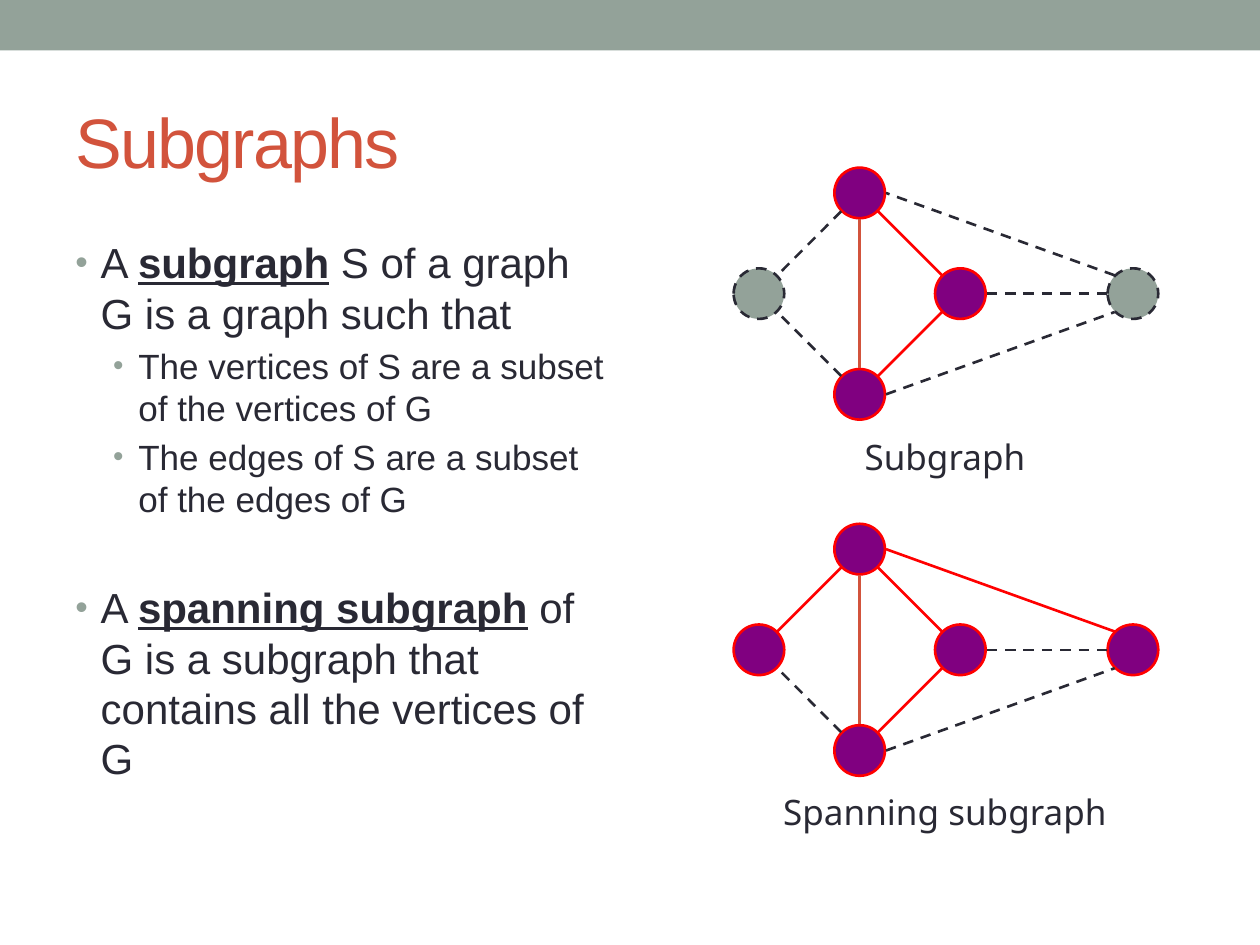
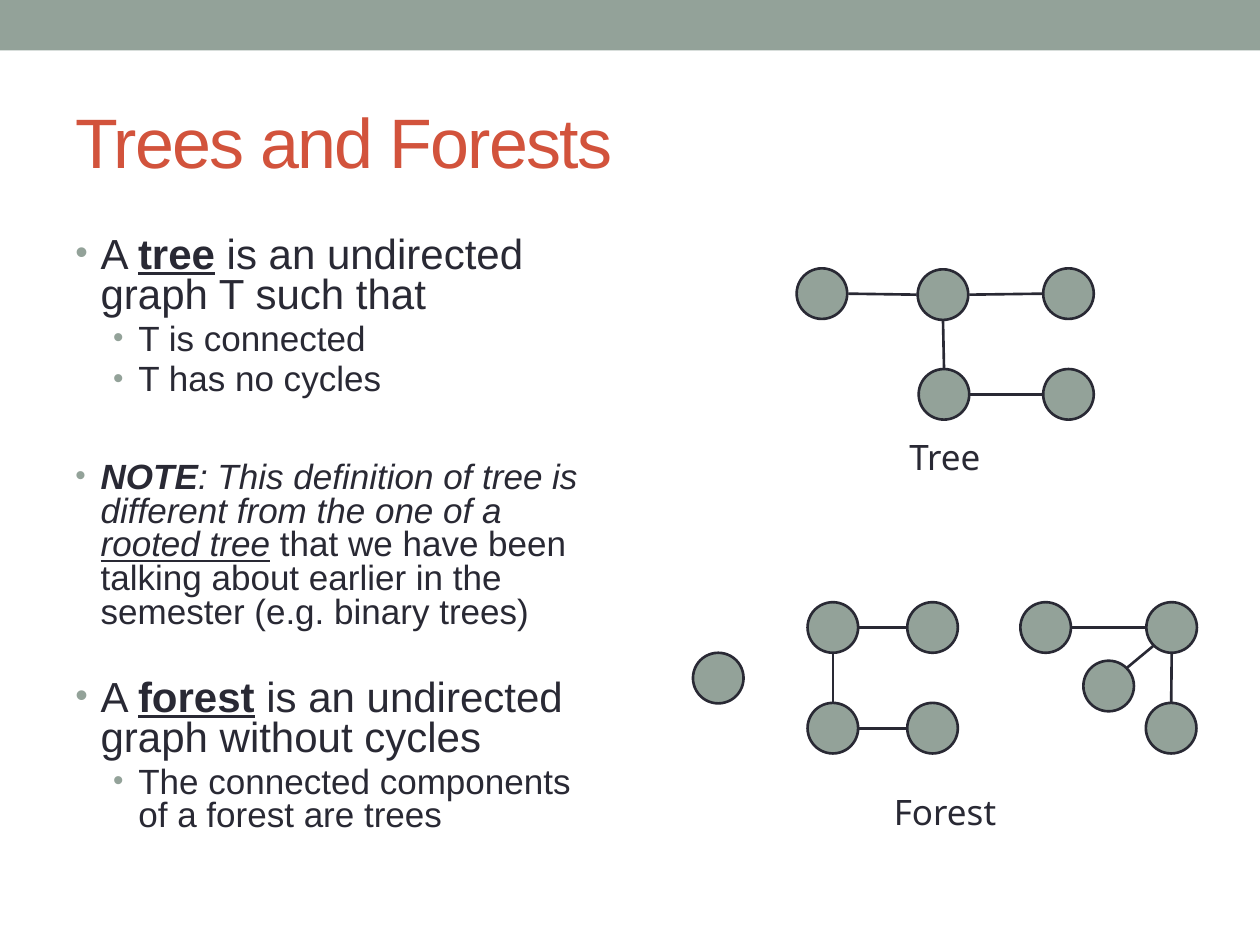
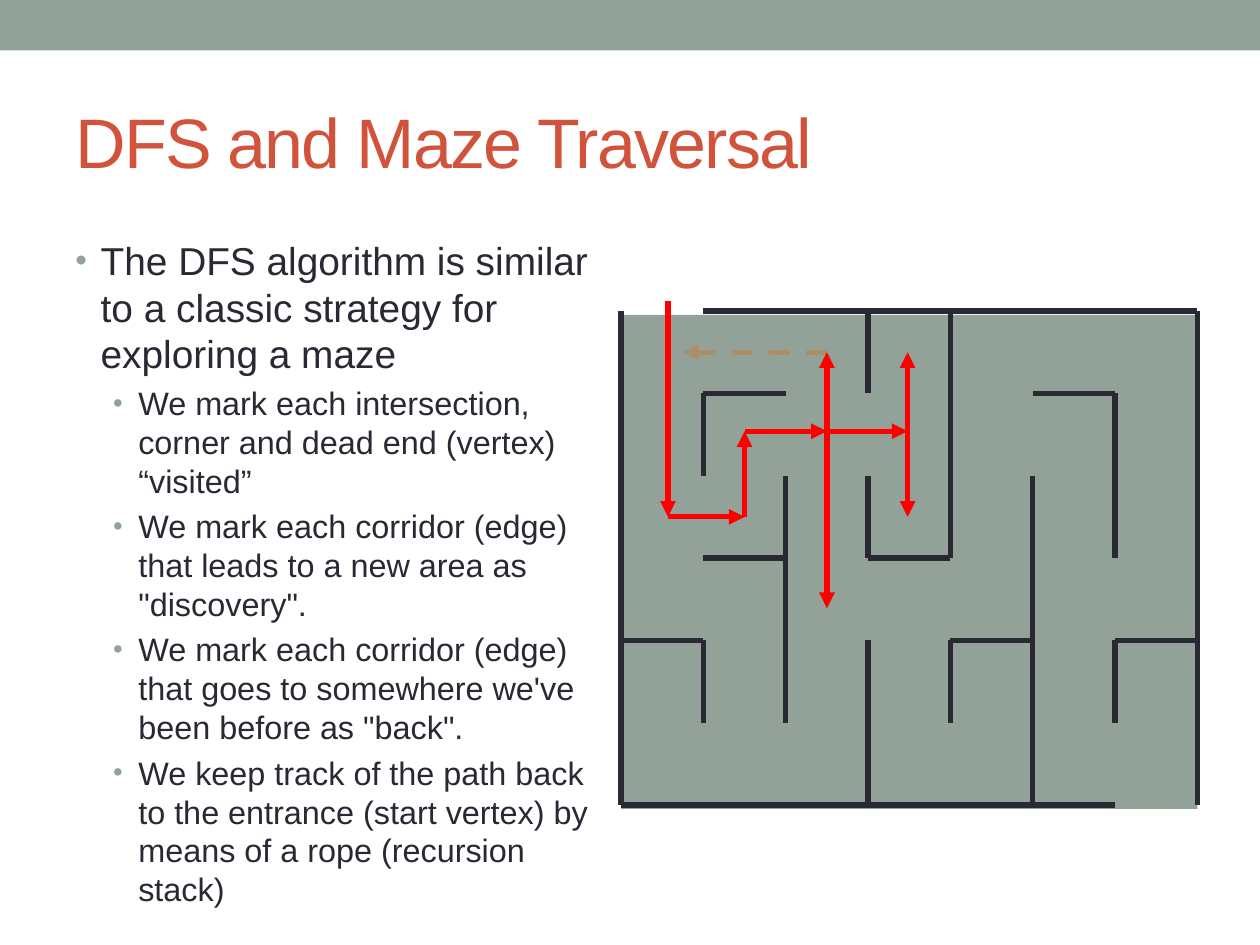
from dataclasses import dataclass
from typing import NamedTuple

from lxml.etree import SubElement
from pptx import Presentation
from pptx.dml.color import RGBColor
from pptx.enum.dml import MSO_LINE_DASH_STYLE as Dash
from pptx.enum.shapes import MSO_CONNECTOR as Link, MSO_SHAPE as Preset
from pptx.enum.text import MSO_ANCHOR as Anchor, PP_ALIGN as Align
from pptx.oxml.ns import qn
from pptx.util import Cm, Pt

COLORS = {
    "sage": "93A299",
    "ink": "292934",
    "rust": "D2533C",
    "purple": "800080",
    "red": "FF0000",
    "tan": "AD8F67",
}
BODY_FONT, CAPTION_FONT = "Arial", "Noto Sans"
SLIDE_WIDTH, SLIDE_HEIGHT = 25.4, 19.05
RADIUS = 0.51
REACH, DIAGONAL = 0.53, 0.37
SITES = {
    "n": (0, -REACH), "s": (0, REACH), "e": (REACH, 0), "w": (-REACH, 0),
    "ne": (DIAGONAL, -DIAGONAL), "nw": (-DIAGONAL, -DIAGONAL),
    "se": (DIAGONAL, DIAGONAL), "sw": (-DIAGONAL, DIAGONAL),
}
CELL = 1.66
MAZE_LEFT, MAZE_TOP = 12.52, 6.27
MAZE_COLUMNS, MAZE_ROWS = 7, 6


class Stroke(NamedTuple):
    color: str
    width: float = 1.5
    dashed: bool = False
    arrow: bool = False


class NodeStyle(NamedTuple):
    fill: str
    stroke: Stroke


class Node(NamedTuple):
    x: float
    y: float
    style: NodeStyle


class Edge(NamedTuple):
    start: str
    start_site: str
    end: str
    end_site: str
    stroke: Stroke


class Span(NamedTuple):
    text: str
    bold: bool = False
    italic: bool = False
    underline: bool = False


@dataclass
class Bullet:
    spans: list[Span]
    size: float
    level: int = 0
    gap: float = 0


PLAIN = Stroke("ink")
DASHED = Stroke("ink", dashed=True)
CHOSEN = Stroke("red")
SPINE = Stroke("rust")
WALL = Stroke("ink", 3)
DISCOVERY = Stroke("red", 3, arrow=True)
BACK = Stroke("tan", 3, dashed=True, arrow=True)
NODE = NodeStyle("sage", PLAIN)
OUTSIDE = NodeStyle("sage", DASHED)
INSIDE = NodeStyle("purple", CHOSEN)


def rgb(name: str) -> RGBColor:
    return RGBColor.from_string(COLORS[name])


def apply(target, values: dict) -> None:
    for name, value in values.items():
        setattr(target, name, value)


def style_line(line, stroke: Stroke) -> None:
    line.color.rgb = rgb(stroke.color)
    line.width = Pt(stroke.width)
    if stroke.dashed:
        line.dash_style = Dash.DASH


def add_solid(page, preset, left: float, top: float, width: float, height: float, fill: str):
    shape = page.shapes.add_shape(preset, Cm(left), Cm(top), Cm(width), Cm(height))
    shape.shadow.inherit = False
    shape.fill.solid()
    shape.fill.fore_color.rgb = rgb(fill)
    shape.line.fill.background()
    return shape


def add_line(page, x1: float, y1: float, x2: float, y2: float, stroke: Stroke) -> None:
    line = page.shapes.add_connector(Link.STRAIGHT, Cm(x1), Cm(y1), Cm(x2), Cm(y2))
    style_line(line.line, stroke)
    properties = line._element.spPr
    if stroke.arrow:
        SubElement(properties.find(qn("a:ln")), qn("a:tailEnd"), type="triangle")
    SubElement(properties, qn("a:effectLst"))


def add_frame(page, left: float, top: float, width: float, height: float):
    frame = page.shapes.add_textbox(Cm(left), Cm(top), Cm(width), Cm(height)).text_frame
    frame.word_wrap = True
    return frame


def add_span(para, span: Span, size: float, color: str = "ink", font: str = BODY_FONT):
    run = para.add_run()
    run.text = span.text
    apply(run.font, {"name": font, "size": Pt(size), "bold": span.bold,
                     "italic": span.italic, "underline": span.underline})
    run.font.color.rgb = rgb(color)
    return run


def add_page(deck, title: str):
    page = deck.slides.add_slide(deck.slide_layouts[6])
    add_solid(page, Preset.RECTANGLE, 0, 0, SLIDE_WIDTH, 1.02, "sage")
    frame = add_frame(page, 1.27, 1.47, 22.86, 2.74)
    frame.vertical_anchor = Anchor.MIDDLE
    run = add_span(frame.paragraphs[0], Span(title), 40, "rust")
    run.font._element.set("spc", "-100")
    return page


def add_body(page, bullets: list[Bullet], line_spacing: float | None = None) -> None:
    frame = add_frame(page, 1.27, 4.65, 11.23, 13.11)
    for index, bullet in enumerate(bullets):
        para = frame.add_paragraph() if index else frame.paragraphs[0]
        apply(para, {"level": bullet.level, "line_spacing": line_spacing,
                     "space_before": Pt(bullet.gap or round(bullet.size * 0.2, 1))})
        properties = para._p.get_or_add_pPr()
        properties.set("marL", str(Cm(1.27 if bullet.level else 0.51)))
        properties.set("indent", str(Cm(-0.51)))
        color = SubElement(properties, qn("a:buClr"))
        SubElement(color, qn("a:srgbClr"), val=COLORS["sage"])
        SubElement(properties, qn("a:buSzPct"), val="85000")
        SubElement(properties, qn("a:buFont"), typeface=BODY_FONT)
        SubElement(properties, qn("a:buChar"), char="•")
        for span in bullet.spans:
            add_span(para, span, bullet.size)


def add_caption(page, text: str, top: float, width: float) -> None:
    para = add_frame(page, 19.05 - width / 2, top, width, 1.09).paragraphs[0]
    para.alignment = Align.CENTER
    add_span(para, Span(text), 20, font=CAPTION_FONT)


def add_captions(page, upper: str, lower: str) -> None:
    add_caption(page, upper, 8.66, 7.92)
    add_caption(page, lower, 15.82, 10.13)


def add_graph(page, nodes: dict[str, Node], edges: list[Edge]) -> None:
    for node in nodes.values():
        circle = add_solid(page, Preset.OVAL, node.x - RADIUS, node.y - RADIUS,
                           2 * RADIUS, 2 * RADIUS, node.style.fill)
        style_line(circle.line, node.style.stroke)
    for edge in edges:
        start, end = nodes[edge.start], nodes[edge.end]
        dx1, dy1 = SITES[edge.start_site]
        dx2, dy2 = SITES[edge.end_site]
        add_line(page, start.x + dx1, start.y + dy1, end.x + dx2, end.y + dy2, edge.stroke)


def add_kite(page, middle: float, outer: NodeStyle, upper_edge: Stroke) -> None:
    step = 2.03
    nodes = {
        "inner": Node(19.36, middle, INSIDE),
        "left": Node(15.3, middle, outer),
        "top": Node(17.33, middle - step, INSIDE),
        "bottom": Node(17.33, middle + step, INSIDE),
        "right": Node(22.84, middle, outer),
    }
    add_graph(page, nodes, [
        Edge("top", "sw", "left", "ne", upper_edge),
        Edge("bottom", "nw", "left", "se", DASHED),
        Edge("bottom", "ne", "inner", "sw", CHOSEN),
        Edge("top", "se", "inner", "nw", CHOSEN),
        Edge("top", "s", "bottom", "n", SPINE),
        Edge("inner", "e", "right", "w", DASHED),
        Edge("bottom", "e", "right", "sw", DASHED),
        Edge("right", "nw", "top", "e", upper_edge),
    ])


def add_maze_line(page, x1: float, y1: float, x2: float, y2: float, stroke: Stroke) -> None:
    add_line(page, MAZE_LEFT + x1 * CELL, MAZE_TOP + y1 * CELL,
             MAZE_LEFT + x2 * CELL, MAZE_TOP + y2 * CELL, stroke)


def term(text: str) -> Span:
    return Span(text, bold=True, underline=True)


def build_subgraphs(deck) -> None:
    page = add_page(deck, "Subgraphs")
    add_body(page, [
        Bullet([Span("A "), term("subgraph"), Span(" S of a graph G is a graph such that")], 24),
        Bullet([Span("The vertices of S are a subset of the vertices of G")], 20, 1),
        Bullet([Span("The edges of S are a subset of the edges of G")], 20, 1),
        Bullet([Span("A "), term("spanning subgraph"),
                Span(" of G is a subgraph that contains all the vertices of G")], 24, gap=35.5),
    ])
    add_captions(page, "Subgraph", "Spanning subgraph")
    add_kite(page, 5.92, OUTSIDE, DASHED)
    add_kite(page, 13.1, INSIDE, CHOSEN)


def build_trees(deck) -> None:
    page = add_page(deck, "Trees and Forests")
    add_body(page, [
        Bullet([Span("A "), term("tree"), Span(" is an undirected graph T such that")], 24),
        Bullet([Span("T is connected")], 20, 1),
        Bullet([Span("T has no cycles")], 20, 1),
        Bullet([Span("NOTE", bold=True, italic=True),
                Span(": This definition of tree is different from the one of a ", italic=True),
                Span("rooted tree", italic=True, underline=True),
                Span(" that we have been talking about earlier in the semester "
                     "(e.g. binary trees)")], 20, gap=36.5),
        Bullet([Span("A "), term("forest"),
                Span(" is an undirected graph without cycles")], 24, gap=28),
        Bullet([Span("The connected components of a forest are trees")], 20, 1),
    ], 0.8)
    add_captions(page, "Tree", "Forest")
    add_graph(page, {
        "left": Node(16.57, 5.92, NODE),
        "hub": Node(19.01, 5.94, NODE),
        "right": Node(21.54, 5.92, NODE),
        "below": Node(19.03, 7.95, NODE),
        "leaf": Node(21.54, 7.95, NODE),
    }, [
        Edge("left", "e", "hub", "w", PLAIN),
        Edge("below", "n", "hub", "s", PLAIN),
        Edge("right", "w", "hub", "e", PLAIN),
        Edge("below", "e", "leaf", "w", PLAIN),
    ])
    upper, lower = 12.65, 14.68
    add_graph(page, {
        "single": Node(14.48, 13.67, NODE),
        "chain top": Node(16.79, upper, NODE),
        "chain start": Node(18.8, upper, NODE),
        "chain bottom": Node(16.79, lower, NODE),
        "chain end": Node(18.8, lower, NODE),
        "star left": Node(21.08, upper, NODE),
        "star hub": Node(23.62, upper, NODE),
        "star bottom": Node(23.61, lower, NODE),
        "star inner": Node(22.35, 13.83, NODE),
    }, [
        Edge("chain bottom", "n", "chain top", "s", PLAIN),
        Edge("chain start", "w", "chain top", "e", PLAIN),
        Edge("chain bottom", "e", "chain end", "w", PLAIN),
        Edge("star inner", "ne", "star hub", "sw", PLAIN),
        Edge("star bottom", "n", "star hub", "s", PLAIN),
        Edge("star left", "e", "star hub", "w", PLAIN),
    ])


def build_maze(deck) -> None:
    page = add_page(deck, "DFS and Maze Traversal")
    add_solid(page, Preset.RECTANGLE, MAZE_LEFT, MAZE_TOP + 0.08,
              MAZE_COLUMNS * CELL, MAZE_ROWS * CELL, "sage")
    walls = [
        (0, 0, 0, 6), (7, 0, 7, 6), (1, 0, 7, 0), (0, 6, 6, 6),
        (1, 1, 1, 2), (3, 2, 3, 3), (2, 2, 2, 3), (2, 3, 1, 3),
        (7, 4, 6, 4), (6, 4, 6, 5), (3, 4, 3, 6), (4, 0, 4, 3),
        (5, 2, 5, 6), (4, 3, 3, 3), (2, 1, 1, 1), (4, 4, 4, 5),
        (5, 4, 4, 4), (2, 3, 2, 5), (1, 4, 0, 4), (1, 4, 1, 5),
        (3, 0, 3, 1), (6, 1, 5, 1), (6, 1, 6, 3),
    ]
    for wall in walls:
        add_maze_line(page, *wall, WALL)
    add_maze_line(page, 2.5, 0.5, 0.75, 0.5, BACK)
    entry, turn, fork, end = 0.57, 1.5, 2.5, 3.48
    high, cross, low = 0.5, 1.46, 2.5
    steps = [
        (entry, -0.12, entry, low), (entry, low, turn, low),
        (turn, low, turn, cross), (fork, cross, fork, high),
        (turn, cross, fork, cross), (fork, cross, end, cross),
        (end, cross, end, high), (end, cross, end, low),
        (fork, cross, fork, 3.61),
    ]
    for step in steps:
        add_maze_line(page, *step, DISCOVERY)
    details = [
        "We mark each intersection, corner and dead end (vertex) “visited”",
        'We mark each corridor (edge) that leads to a new area as "discovery".',
        'We mark each corridor (edge) that goes to somewhere we\'ve been before as "back".',
        "We keep track of the path back to the entrance (start vertex) by means of a rope "
        "(recursion stack)",
    ]
    heading = Span("The DFS algorithm is similar to a classic strategy for exploring a maze")
    add_body(page, [Bullet([heading], 22.2)] + [Bullet([Span(text)], 18.5, 1) for text in details])


def main() -> None:
    deck = Presentation()
    apply(deck, {"slide_width": Cm(SLIDE_WIDTH), "slide_height": Cm(SLIDE_HEIGHT)})
    for build in (build_subgraphs, build_trees, build_maze):
        build(deck)
    deck.save("out.pptx")


main()
